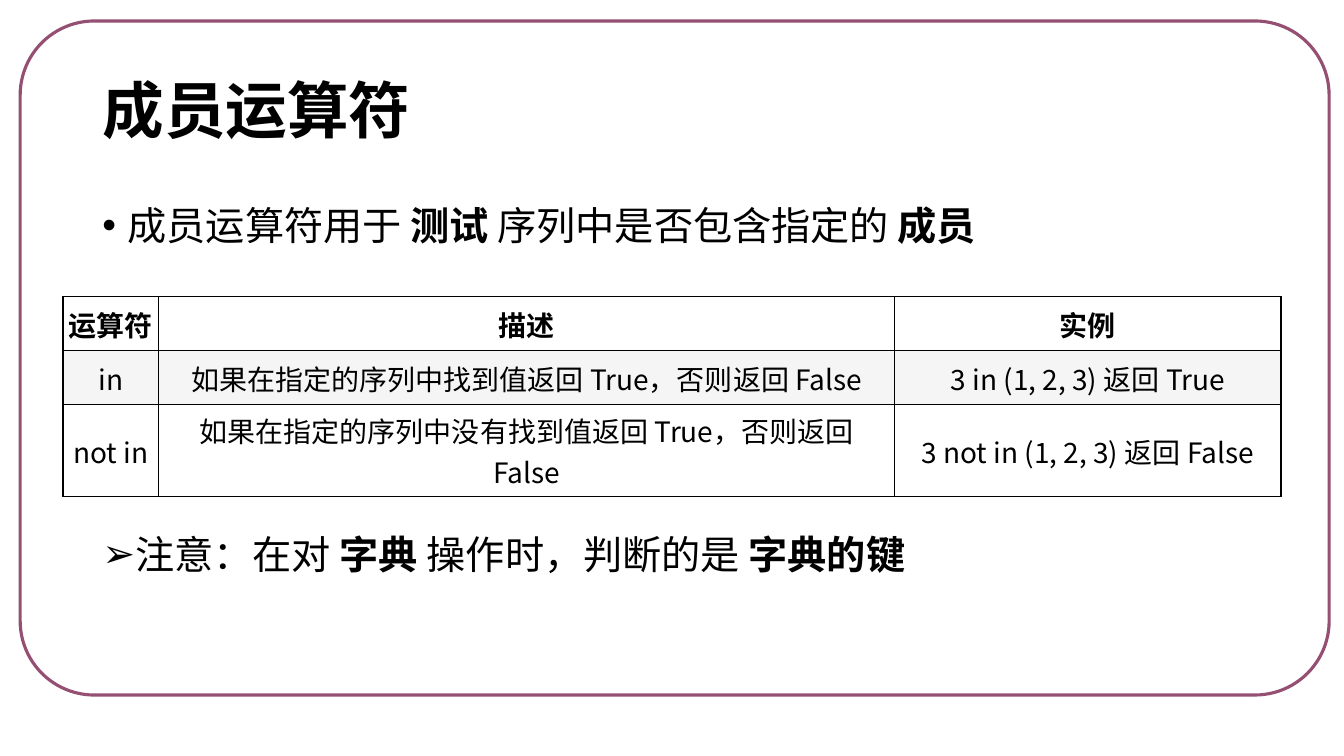
from lxml.etree import SubElement
from pptx import Presentation
from pptx.dml.color import RGBColor
from pptx.enum.shapes import MSO_SHAPE as Shape
from pptx.enum.text import MSO_ANCHOR as Anchor, MSO_AUTO_SIZE as AutoSize, PP_ALIGN as Align
from pptx.oxml.ns import qn
from pptx.util import Pt

FONT = "Noto Sans CJK SC"
BLACK = RGBColor(0x00, 0x00, 0x00)
PLUM = RGBColor(0x95, 0x4F, 0x72)
PALE_GREY = RGBColor(0xF5, 0xF5, 0xF5)

OPERATORS = [
    ("运算符", "描述", "实例"),
    ("in", "如果在指定的序列中找到值返回 True，否则返回 False", "3 in (1, 2, 3) 返回 True"),
    ("not in", "如果在指定的序列中没有找到值返回 True，否则返回 False", "3 not in (1, 2, 3) 返回 False"),
]
# Bullet, space before in points, and (text, bold) runs
POINTS = [
    ("•", 10, [("成员运算符用于 ", False), ("测试", True),
               (" 序列中是否包含指定的 ", False), ("成员", True)]),
    ("➢", 205, [("注意：在对 ", False), ("字典", True),
                (" 操作时，判断的是 ", False), ("字典的键", True)]),
]


def style_paragraph(paragraph, size, bold=None):
    """Set the font for both Latin and East Asian text."""
    font = paragraph.font
    font.name, font.size, font.bold = FONT, Pt(size), bold
    font.color.rgb = BLACK
    defaults = paragraph._p.pPr.find(qn("a:defRPr"))
    SubElement(defaults, qn("a:ea"), typeface=FONT)


def place(shape, left, top, width, height):
    shape.left, shape.top, shape.width, shape.height = map(Pt, (left, top, width, height))


def add_frame(slide, left, top, width, height):
    frame = slide.shapes.add_shape(Shape.ROUNDED_RECTANGLE, *map(Pt, (left, top, width, height)))
    frame.adjustments[0] = 0.11
    frame.shadow.inherit = False
    frame.fill.background()
    frame.line.color.rgb = PLUM
    frame.line.width = Pt(2.25)
    slide.shapes._spTree.insert(2, frame._element)  # behind the placeholders


def fill_title(title, *box):
    place(title, *box)
    title.text = "成员运算符"
    title.text_frame.vertical_anchor = Anchor.MIDDLE
    title.text_frame.auto_size = AutoSize.NONE
    heading = title.text_frame.paragraphs[0]
    heading.alignment = Align.LEFT
    heading.line_spacing = 0.9
    style_paragraph(heading, 44, True)


def fill_points(body, *box):
    place(body, *box)
    text_frame = body.text_frame
    text_frame.auto_size = AutoSize.NONE
    for index, (bullet, space_before, runs) in enumerate(POINTS):
        point = text_frame.add_paragraph() if index else text_frame.paragraphs[0]
        point.line_spacing = 0.9
        point.space_before = Pt(space_before)
        properties = point._p.get_or_add_pPr()
        properties.set("marL", str(Pt(18)))
        properties.set("indent", str(-Pt(18)))
        SubElement(properties, qn("a:buChar"), char=bullet)
        style_paragraph(point, 28)
        for text, bold in runs:
            run = point.add_run()
            run.text = text
            run.font.bold = bold


def add_borders(cell):
    properties = cell._tc.get_or_add_tcPr()
    for position, side in enumerate(("lnL", "lnR", "lnT", "lnB")):
        border = SubElement(properties, qn(f"a:{side}"), w=str(Pt(1)))
        fill = SubElement(border, qn("a:solidFill"))
        SubElement(fill, qn("a:srgbClr"), val=str(BLACK))
        properties.insert(position, border)  # borders precede the fill


def add_operator_table(slide, left, top, widths, row_height):
    row_count = len(OPERATORS)
    box = map(Pt, (left, top, sum(widths), row_height * row_count))
    table = slide.shapes.add_table(row_count, len(widths), *box).table
    table.first_row = table.horz_banding = False
    for column, width in zip(table.columns, widths):
        column.width = Pt(width)
    for row_index, texts in enumerate(OPERATORS):
        table.rows[row_index].height = Pt(row_height)
        for column_index, text in enumerate(texts):
            cell = table.cell(row_index, column_index)
            cell.text = text
            cell.vertical_anchor = Anchor.MIDDLE
            cell.margin_left = cell.margin_right = Pt(3.75)
            cell.margin_top = cell.margin_bottom = Pt(3.75)
            if row_index == 1:
                cell.fill.solid()
                cell.fill.fore_color.rgb = PALE_GREY
            else:
                cell.fill.background()
            add_borders(cell)
            paragraph = cell.text_frame.paragraphs[0]
            paragraph.alignment = Align.CENTER
            style_paragraph(paragraph, 20, row_index == 0)


def main():
    presentation = Presentation()
    presentation.slide_width, presentation.slide_height = Pt(960), Pt(540)
    slide = presentation.slides.add_slide(presentation.slide_layouts[1])
    add_frame(slide, 14.4, 15, 935, 481.5)
    fill_title(slide.shapes.title, 66, 28.75, 828, 104.4)
    fill_points(slide.placeholders[1], 66, 143.75, 828, 342.6)
    add_operator_table(slide, 45, 212, (68.4, 525.6, 276), 38.6)
    presentation.save("out.pptx")


if __name__ == "__main__":
    main()
